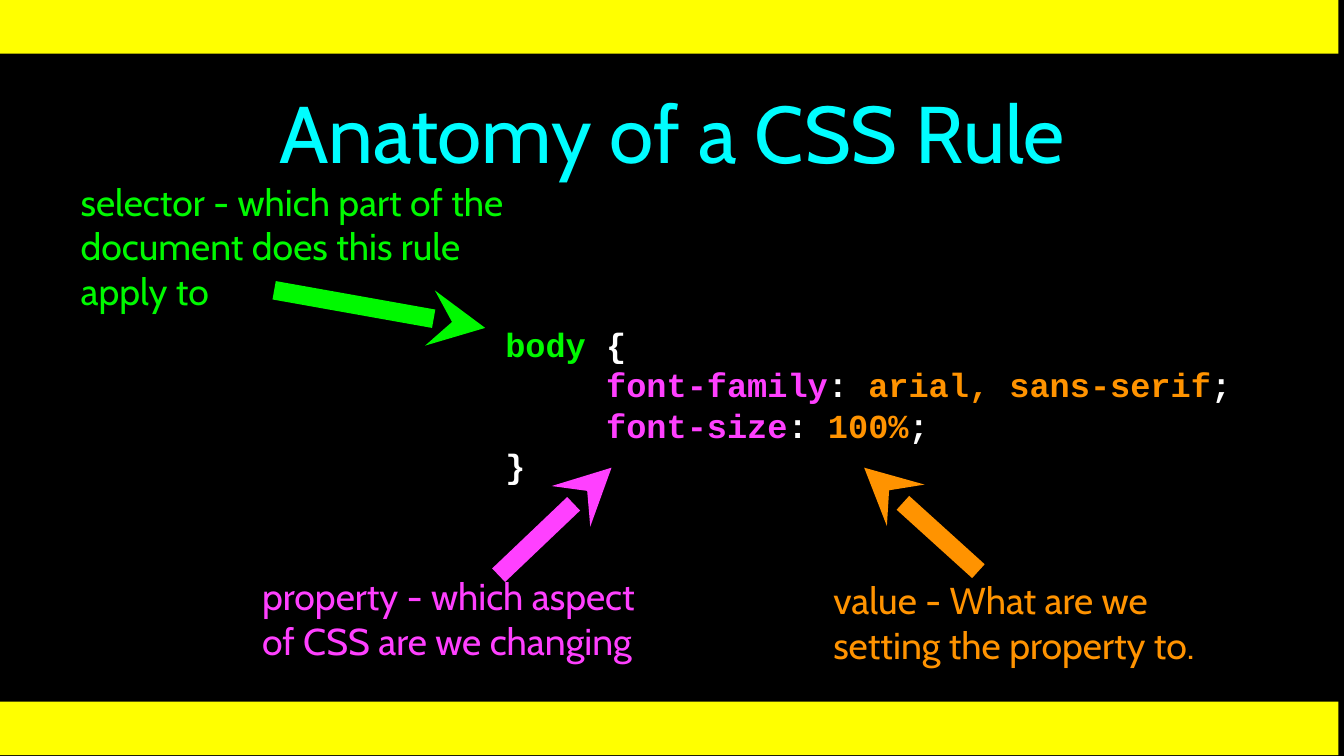
from lxml.etree import SubElement
from pptx import Presentation
from pptx.dml.color import RGBColor
from pptx.enum.shapes import MSO_CONNECTOR, MSO_SHAPE
from pptx.enum.text import MSO_ANCHOR, MSO_AUTO_SIZE, PP_ALIGN
from pptx.oxml.ns import qn
from pptx.util import Inches, Pt

BLACK = RGBColor(0x00, 0x00, 0x00)
WHITE = RGBColor(0xFF, 0xFF, 0xFF)
YELLOW = RGBColor(0xFF, 0xFF, 0x00)
CYAN = RGBColor(0x00, 0xFD, 0xFF)
GREEN = RGBColor(0x00, 0xF9, 0x00)
PINK = RGBColor(0xFF, 0x40, 0xFF)
ORANGE = RGBColor(0xFF, 0x93, 0x00)

CODE = [
    [("      ", WHITE), ("body ", GREEN), ("{", WHITE)],
    [("           ", WHITE), ("font-family", PINK), (": ", WHITE),
     ("arial, sans-serif", ORANGE), (";", WHITE)],
    [("           ", WHITE), ("font-size", PINK), (": ", WHITE),
     ("100%", ORANGE), (";", WHITE)],
    [("      }", WHITE)],
]

NOTES = [
    ("property - which aspect of CSS are we changing", PINK,
     (1.92, 4.07, 3.08, 1.06), (3.71, 4.28), (4.55, 3.48)),
    ("selector - which part of the document does this rule apply to", GREEN,
     (0.57, 1.3, 3.53, 1.06), (2.04, 2.16), (3.61, 2.44)),
    ("value - What are we setting the property to.", ORANGE,
     (6.17, 4.1, 2.89, 1.06), (7.28, 4.25), (6.43, 3.48)),
]


def add_run(para, text, font, size, color, bold=False):
    """Add one styled run to a paragraph."""
    run = para.add_run()
    run.text = text
    run.font.name = font
    run.font.size = Pt(size)
    run.font.bold = bold
    run.font.color.rgb = color


def set_frame(frame, inset):
    """Wrap and centre a text frame vertically with equal insets."""
    frame.word_wrap = True
    frame.auto_size = MSO_AUTO_SIZE.NONE
    frame.vertical_anchor = MSO_ANCHOR.MIDDLE
    frame.margin_left = frame.margin_right = Inches(inset)
    frame.margin_top = frame.margin_bottom = Inches(inset)


def add_bar(slide, box):
    """Draw a yellow band across the slide."""
    bar = slide.shapes.add_shape(MSO_SHAPE.RECTANGLE, *map(Inches, box))
    bar.shadow.inherit = False
    bar.fill.solid()
    bar.fill.fore_color.rgb = YELLOW
    bar.line.fill.background()


def set_title(slide, box, text):
    """Place and fill the title placeholder."""
    title = slide.shapes.title
    title.left, title.top, title.width, title.height = map(Inches, box)
    set_frame(title.text_frame, 0.06)
    para = title.text_frame.paragraphs[0]
    para.alignment = PP_ALIGN.CENTER
    add_run(para, text, "Cabin", 43, CYAN)


def add_code(slide, box, lines):
    """Write the coloured code listing."""
    frame = slide.shapes.add_textbox(*map(Inches, box)).text_frame
    set_frame(frame, 0.03)
    for row, line in enumerate(lines):
        para = frame.add_paragraph() if row else frame.paragraphs[0]
        for text, color in line:
            add_run(para, text, "Courier New", 18, color, True)


def add_note(slide, box, text, color):
    """Write one explanatory note."""
    frame = slide.shapes.add_textbox(*map(Inches, box)).text_frame
    set_frame(frame, 0.03)
    add_run(frame.paragraphs[0], text, "Cabin", 20, color)


def add_arrow(slide, tail, tip, color):
    """Draw a thick arrow from tail to tip."""
    arrow = slide.shapes.add_connector(
        MSO_CONNECTOR.STRAIGHT, *map(Inches, tip + tail))
    arrow.line.width = Pt(10)
    arrow.line.color.rgb = color
    SubElement(arrow.line._get_or_add_ln(), qn("a:headEnd"), type="stealth")
    SubElement(arrow._element.spPr, qn("a:effectLst"))


def main():
    """Build and save the slide."""
    deck = Presentation()
    deck.slide_width = Inches(10)
    deck.slide_height = deck.slide_width * 9 // 16
    slide = deck.slides.add_slide(deck.slide_layouts[5])
    slide.background.fill.solid()
    slide.background.fill.fore_color.rgb = BLACK
    for top in (0, 5.22):
        add_bar(slide, (0, top, 9.96, 0.4))
    set_title(slide, (0.93, 0.4, 8.14, 1.15), "Anatomy of a CSS Rule")
    add_code(slide, (2.83, 2.38, 6.5, 1.26), CODE)
    for text, color, box, tail, tip in NOTES:
        add_note(slide, box, text, color)
        add_arrow(slide, tail, tip, color)
    deck.save("out.pptx")


if __name__ == "__main__":
    main()
